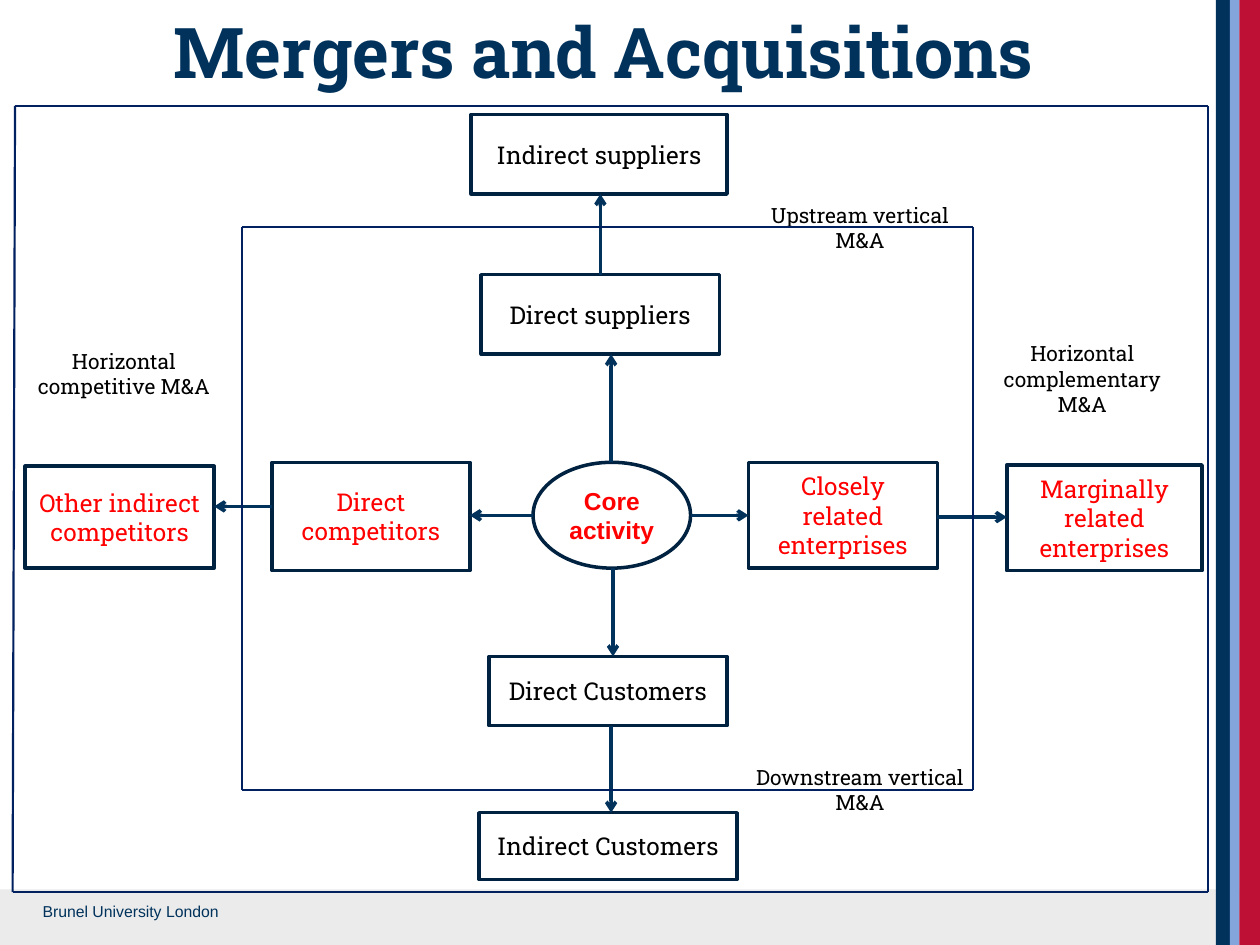
from lxml import etree
from pptx import Presentation
from pptx.dml.color import RGBColor
from pptx.enum.shapes import MSO_CONNECTOR as Connector, MSO_SHAPE as Shape
from pptx.enum.text import MSO_ANCHOR as Anchor, MSO_AUTO_SIZE as AutoSize, PP_ALIGN as Align
from pptx.oxml.ns import qn
from pptx.util import Pt

SLAB = "Roboto Slab"
NAVY, OUTLINE, FRAME = "00325B", "002241", "002060"
BLACK, RED = "000000", "FF0000"

# Diagram nodes: left, top, width, height, text colour
NODES = {
    "Indirect suppliers": (269.3, 65.5, 146.2, 45.4, BLACK),
    "Core activity": (304.6, 264.2, 90, 60.5, RED),
    "Other indirect competitors": (14.4, 266.4, 108, 58.3, RED),
    "Direct competitors": (155.5, 264.2, 113, 61.9, RED),
    "Closely related enterprises": (427.7, 264.2, 108, 60.5, RED),
    "Direct suppliers": (275, 157, 136.1, 45.4, BLACK),
    "Direct Customers": (279.4, 375.1, 136.1, 39.6, BLACK),
    "Indirect Customers": (273.6, 464.4, 147.6, 38.2, BLACK),
    "Marginally related enterprises": (575.3, 265.7, 111.6, 60.5, RED),
}

# Arrows: origin, target, direction, position on the other axis
ARROWS = [
    ("Core activity", "Closely related enterprises", "right", 294.5),
    ("Closely related enterprises", "Marginally related enterprises", "right", 295.5),
    ("Core activity", "Direct suppliers", "up", 349.2),
    ("Direct suppliers", "Indirect suppliers", "up", 343.1),
    ("Core activity", "Direct competitors", "left", 294.5),
    ("Direct competitors", "Other indirect competitors", "left", 289.4),
    ("Core activity", "Direct Customers", "down", 350.3),
    ("Direct Customers", "Indirect Customers", "down", 349.2),
]

LABELS = {
    "Horizontal complementary M&A": (564.5, 190.8, 108, 51.1),
    "Downstream vertical M&A": (423.4, 428.4, 136.1, 45.4),
    "Horizontal competitive M&A": (14.4, 185, 113, 56.9),
    "Upstream vertical M&A": (423.4, 107.3, 136.1, 45.4),
}


def color(hex_code):
    return RGBColor.from_string(hex_code)


def write(frame, text, size=14, font=SLAB, ink=BLACK, bold=False,
          align=Align.CENTER, anchor=Anchor.MIDDLE):
    frame.word_wrap = True
    frame.vertical_anchor = anchor
    paragraph = frame.paragraphs[0]
    paragraph.alignment = align
    run = paragraph.add_run()
    run.text = text
    run.font.size, run.font.name, run.font.bold = Pt(size), font, bold
    run.font.color.rgb = color(ink)


def place(box):
    return [Pt(length) for length in box]


def add_shape(slide, kind, box, fill=None, line=None):
    shape = slide.shapes.add_shape(kind, *place(box))
    shape.shadow.inherit = False
    if fill:
        shape.fill.solid()
        shape.fill.fore_color.rgb = color(fill)
    else:
        shape.fill.background()
    if line:
        shape.line.color.rgb = color(line)
        shape.line.width = Pt(2)
    else:
        shape.line.fill.background()
    return shape


def add_line(slide, start, end, ink, width, arrow=False):
    line = slide.shapes.add_connector(Connector.STRAIGHT, *place(start + end))
    line.line.color.rgb = color(ink)
    line.line.width = Pt(width)
    if arrow:
        etree.SubElement(line.line._get_or_add_ln(), qn("a:tailEnd"), type="arrow")
    etree.SubElement(line._element.spPr, qn("a:effectLst"))


def add_label(slide, box, text, **style):
    label = slide.shapes.add_textbox(*place(box))
    write(label.text_frame, text, **style)


def add_branding(slide, width, height):
    """Footer band, its text and the stripes on the right edge."""
    add_shape(slide, Shape.RECTANGLE, (0, height - 31.7, width, 31.7), fill="EBEBEB")
    left = 694.8
    for stripe, fill in ((8, NAVY), (5.4, "84A5DC"), (11.8, "BE0F34")):
        add_shape(slide, Shape.RECTANGLE, (left, 0, stripe, height), fill=fill)
        left += stripe
    add_label(slide, (17.3, height - 28.1, 127.4, 18), "Brunel University London",
              size=9, font="Arial", ink=NAVY, align=Align.LEFT, anchor=Anchor.TOP)


def add_title(slide, box, text):
    title = slide.shapes.title
    title.left, title.top, title.width, title.height = place(box)
    frame = title.text_frame
    frame.auto_size = AutoSize.NONE
    frame.margin_left = frame.margin_right = frame.margin_bottom = 0
    frame.margin_top = Pt(1.5)
    write(frame, text, size=40, ink=NAVY, bold=True, anchor=Anchor.TOP)


def add_node(slide, text, box, ink):
    is_core = text == "Core activity"
    kind = Shape.OVAL if is_core else Shape.RECTANGLE
    node = add_shape(slide, kind, box, line=OUTLINE)
    write(node.text_frame, text, ink=ink, bold=is_core, font="Arial" if is_core else SLAB)


def add_arrow(slide, origin, target, direction, offset):
    """Join the facing edges of two nodes."""
    axis = 0 if direction in ("left", "right") else 1
    near, far = origin[axis], target[axis]
    if direction in ("right", "down"):
        near += origin[axis + 2]
    else:
        far += target[axis + 2]
    points = [(near, offset), (far, offset)]
    if axis:
        points = [(x, y) for y, x in points]
    add_line(slide, *points, NAVY, 2, arrow=True)


def add_frame(slide, corners):
    """Four lines round the corners, clockwise from the top left."""
    for start, end in zip(corners, corners[1:] + corners[:1]):
        add_line(slide, start, end, FRAME, 1.25)


def add_diagram(slide):
    for text, (*box, ink) in NODES.items():
        add_node(slide, text, box, ink)
    for origin, target, direction, offset in ARROWS:
        add_arrow(slide, NODES[origin], NODES[target], direction, offset)
    for text, box in LABELS.items():
        add_label(slide, box, text, size=12)
    add_frame(slide, [(138.2, 129.6), (555.8, 129.6), (555.8, 451.4), (138.2, 451.4)])
    add_frame(slide, [(8.6, 60.5), (690.5, 60.5), (690.5, 509.8), (7.2, 509.8)])


def main():
    deck = Presentation()
    deck.slide_width, deck.slide_height = Pt(720), Pt(540)
    slide = deck.slides.add_slide(deck.slide_layouts[5])
    add_branding(slide, 720, 540)
    add_title(slide, (17.3, 3.6, 655.2, 51.1), "Mergers and Acquisitions")
    add_diagram(slide)
    deck.save("out.pptx")


if __name__ == "__main__":
    main()
